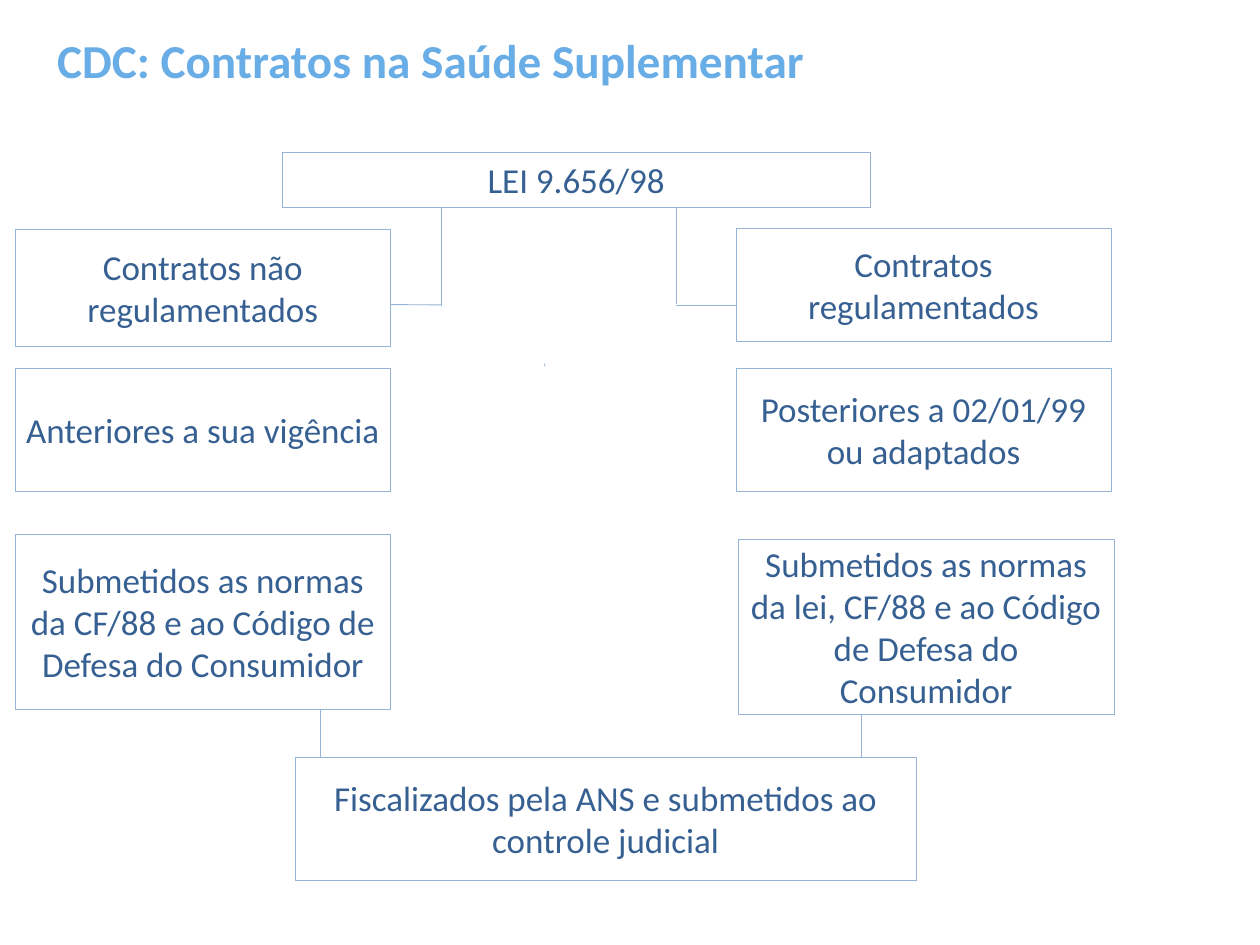
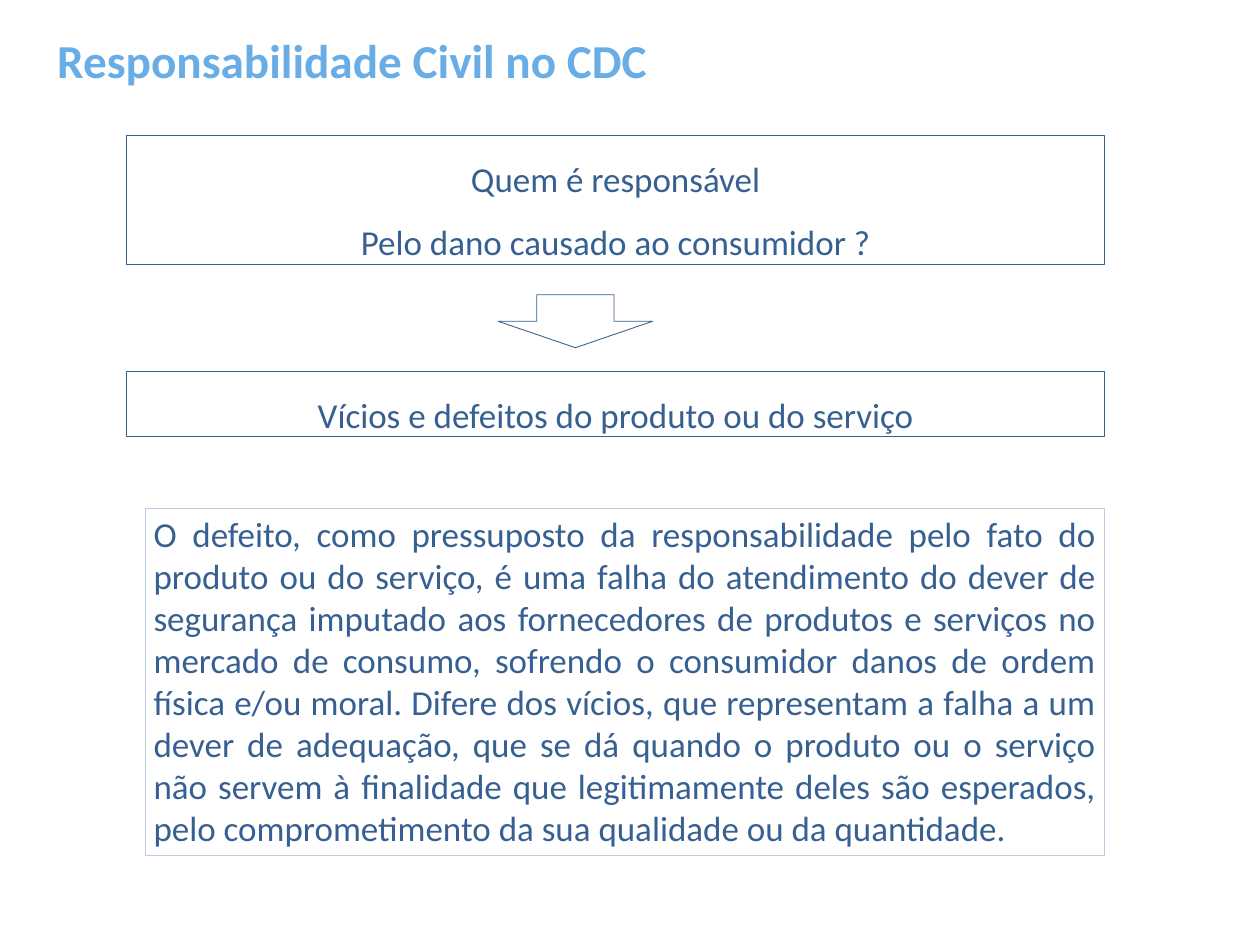
from pptx import Presentation
from pptx.dml.color import RGBColor
from pptx.enum.shapes import MSO_CONNECTOR, MSO_SHAPE
from pptx.enum.text import MSO_ANCHOR, MSO_AUTO_SIZE, PP_ALIGN
from pptx.oxml.ns import qn
from pptx.util import Inches, Pt
from lxml import etree


def rgb(value):
    return RGBColor.from_string(value)


class Deck:
    FONT = "Calibri"
    TITLE = "69ADE7"
    TEXT = "376092"
    LINE = "95B3D7"
    PALE = "B9CDE5"
    WHITE = "FFFFFF"

    def __init__(self):
        self.prs = Presentation()
        self.prs.slide_width = Inches(15)
        self.prs.slide_height = Inches(11.25)
        self.s = None

    def style(self, p, size, color, align, bold=False):
        p.alignment = align
        for r in p.runs:
            r.font.name = self.FONT
            r.font.size = Pt(size)
            r.font.bold = bold
            r.font.color.rgb = rgb(color)

    def slide(self, title):
        self.s = self.prs.slides.add_slide(self.prs.slide_layouts[5])
        sp = self.s.shapes.title
        sp.left, sp.top = Inches(0.58), Inches(0.35)
        sp.width, sp.height = Inches(10.24), Inches(0.71)
        tf = sp.text_frame
        tf.text = title
        tf.auto_size = MSO_AUTO_SIZE.NONE
        tf.vertical_anchor = MSO_ANCHOR.MIDDLE
        self.style(tf.paragraphs[0], 40.5, self.TITLE, PP_ALIGN.LEFT, True)

    def shape(self, kind, x, y, w, h, line, width=0.75, fill=None):
        sp = self.s.shapes.add_shape(kind, Inches(x), Inches(y), Inches(w), Inches(h))
        sp.shadow.inherit = False
        if fill:
            sp.fill.solid()
            sp.fill.fore_color.rgb = rgb(fill)
        else:
            sp.fill.background()
        sp.line.color.rgb = rgb(line)
        sp.line.width = Pt(width)
        return sp

    def label(self, sp, text, align=PP_ALIGN.CENTER, anchor=MSO_ANCHOR.MIDDLE, spacing=None):
        tf = sp.text_frame
        tf.text = text
        tf.word_wrap = True
        tf.vertical_anchor = anchor
        for p in tf.paragraphs:
            p.line_spacing = spacing
            self.style(p, 30, self.TEXT, align)
        return tf

    def process(self, text, x, y, w, h):
        sp = self.shape(MSO_SHAPE.FLOWCHART_PROCESS, x, y, w, h, self.LINE, 0.25, self.WHITE)
        self.label(sp, text)

    def frame(self, text, x, y, w, h, line=TEXT, **layout):
        sp = self.shape(MSO_SHAPE.RECTANGLE, x, y, w, h, line)
        self.label(sp, text, **layout).auto_size = MSO_AUTO_SIZE.SHAPE_TO_FIT_TEXT

    def arrow(self, x, y, w, h):
        self.shape(MSO_SHAPE.DOWN_ARROW, x, y, w, h, self.TEXT)

    def line(self, x1, y1, x2, y2):
        cx = self.s.shapes.add_connector(
            MSO_CONNECTOR.STRAIGHT, Inches(x1), Inches(y1), Inches(x2), Inches(y2))
        cx.line.color.rgb = rgb(self.LINE)
        cx.line.width = Pt(0.75)
        etree.SubElement(cx._element.spPr, qn("a:effectLst"))


def contracts(deck):
    deck.slide("CDC: Contratos na Saúde Suplementar")
    for ends in [
        (8.05, 2.4, 8.05, 3.62),
        (6.48, 4.33, 6.49, 4.36),
        (8.05, 3.64, 9.42, 3.64),
        (5.25, 3.63, 3.81, 3.62),
        (5.26, 2.42, 5.26, 3.64),
        (3.81, 9.01, 3.81, 8.44),
        (10.26, 9.01, 10.26, 8.5),
    ]:
        deck.line(*ends)
    for text, x, y, h in [
        ("Contratos regulamentados", 8.76, 2.72, 1.34),
        ("Posteriores a 02/01/99 ou adaptados", 8.76, 4.38, 1.47),
        ("Submetidos as normas da lei, CF/88 e ao Código de Defesa do Consumidor",
         8.79, 6.42, 2.08),
        ("Contratos não regulamentados", 0.18, 2.73, 1.39),
        ("Anteriores a sua vigência", 0.18, 4.38, 1.47),
        ("Submetidos as normas da CF/88 e ao Código de Defesa do Consumidor",
         0.18, 6.36, 2.08),
    ]:
        deck.process(text, x, y, 4.47, h)
    deck.process("Fiscalizados pela ANS e submetidos ao controle judicial", 3.51, 9.01, 7.4, 1.47)
    deck.process("LEI 9.656/98", 3.36, 1.81, 7, 0.66)


def liability(deck):
    deck.slide("Responsabilidade Civil no CDC")
    deck.frame("Quem é responsável\nPelo dano causado ao consumidor ?",
               1.51, 1.61, 11.64, 1.54, spacing=1.5)
    deck.arrow(5.93, 3.51, 1.84, 0.63)
    deck.frame("Vícios e defeitos do produto ou do serviço",
               1.51, 4.42, 11.64, 0.78, spacing=1.5)
    deck.frame(
        "O defeito, como pressuposto da responsabilidade pelo fato do produto ou do serviço, "
        "é uma falha do atendimento do dever de segurança imputado aos fornecedores de produtos "
        "e serviços no mercado de consumo, sofrendo o consumidor danos de ordem física e/ou moral. "
        "Difere dos vícios, que representam a falha a um dever de adequação, que se dá quando o "
        "produto ou o serviço não servem à finalidade que legitimamente deles são esperados, "
        "pelo comprometimento da sua qualidade ou da quantidade.",
        1.73, 6.05, 11.42, 4.14, line=deck.PALE,
        align=PP_ALIGN.JUSTIFY, anchor=MSO_ANCHOR.TOP)


def main():
    deck = Deck()
    contracts(deck)
    liability(deck)
    deck.prs.save("out.pptx")


if __name__ == "__main__":
    main()
